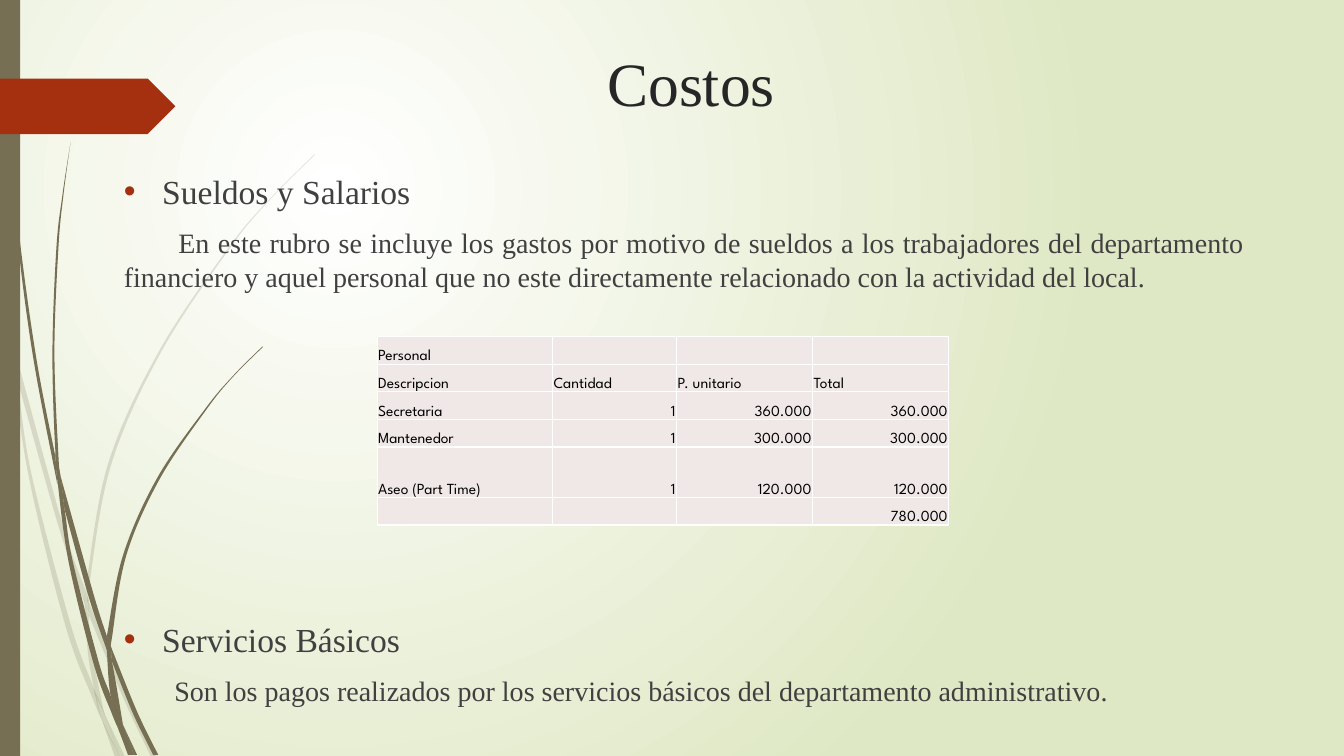
from lxml import etree
from pptx import Presentation
from pptx.dml.color import RGBColor
from pptx.enum.shapes import MSO_SHAPE
from pptx.enum.text import MSO_ANCHOR, PP_ALIGN
from pptx.oxml.ns import qn
from pptx.util import Inches, Pt

RECT, ARROW = MSO_SHAPE.RECTANGLE, MSO_SHAPE.PENTAGON
TOP, BOTTOM = MSO_ANCHOR.TOP, MSO_ANCHOR.BOTTOM
LEFT, RIGHT = PP_ALIGN.LEFT, PP_ALIGN.RIGHT
CENTER, JUST = PP_ALIGN.CENTER, PP_ALIGN.JUSTIFY

TITLE = "Costos"
# heading, text, top, height, first-line indent
PARTS = [
    ("Sueldos y Salarios",
     "En este rubro se incluye los gastos por motivo de sueldos a los trabajadores "
     "del departamento financiero y aquel personal que no este directamente "
     "relacionado con la actividad del local.", 1.65, 1.4, 0.54),
    ("Servicios Básicos",
     "Son los pagos realizados por los servicios básicos del departamento "
     "administrativo.", 6.09, 1.1, 0.5),
]
STAFF = [
    ("Personal", "", "", ""),
    ("Descripcion", "Cantidad", "P. unitario", "Total"),
    ("Secretaria", "1", "360.000", "360.000"),
    ("Mantenedor", "1", "300.000", "300.000"),
    ("Aseo (Part Time)", "1", "120.000", "120.000"),
    ("", "", "", "780.000"),
]
COLS = [1.74, 1.23, 1.35, 1.35]
HIGH, TALL = 1.87, 0.5
ROW = (HIGH - TALL) / 5
ROWS = [ROW] * 4 + [TALL, ROW]

# Each piece of grass: the points down one edge, then down the other
FAINT = [
    ([(0, 2.82), (.09, 3.22), (.11, 3.5)], [(0, 2.99), (.1, 3.44), (.11, 3.5)]),
    ([(.14, 3.45), (.62, 5.2), (.85, 5.86)], [(.17, 3.76), (.58, 5.22), (.84, 5.99)]),
    ([(.88, 5.96), (.92, 6.07), (1.27, 6.92), (1.55, 7.51)],
     [(.88, 6.1), (1.23, 6.94), (1.5, 7.51)]),
    ([(1.05, 7.11), (1.24, 7.51)], [(1.05, 7.11), (1.19, 7.51)]),
    ([(.11, 3.5), (.17, 3.76), (.31, 4.69), (.7, 6.19), (.93, 6.83), (.99, 7.07)],
     [(.11, 3.5), (.28, 4.7), (.65, 6.21), (.92, 6.93), (1.01, 7.14)]),
    ([(.84, 5.99), (.87, 6.46), (.93, 6.83), (.96, 6.92), (1.05, 7.11)],
     [(.88, 6.1), (.91, 6.46), (1.03, 7.06)]),
    ([(3.12, 1.53), (2.68, 1.97), (2.28, 2.44), (1.58, 3.48), (1.07, 4.61), (.85, 5.84)],
     [(3.12, 1.54), (2.68, 1.98), (2.29, 2.45), (1.6, 3.49), (1.1, 4.62), (.88, 5.84),
      (.88, 5.96)]),
    ([(1.01, 7.14), (1.19, 7.51)], [(1.01, 7.14), (1.14, 7.51)]),
    ([(.85, 5.86), (.88, 5.96), (.88, 6.1)], [(.85, 5.86), (.84, 5.99), (.88, 6.08)]),
    ([(.93, 6.83), (1.05, 7.11), (1.19, 7.51)], [(.93, 6.83), (1.01, 7.14), (1.19, 7.51)]),
]
SOLID = [
    ([(.04, 0), (.05, .48), (.08, 1.09), (.19, 2.32), (.36, 3.55), (.55, 4.53)],
     [(.03, 0), (.04, .48), (.07, 1.1), (.17, 2.33), (.33, 3.55), (.57, 4.81)]),
    ([(.6, 4.72), (.93, 5.9), (1.06, 6.31)], [(.64, 5.05), (.88, 5.92), (1.06, 6.45)]),
    ([(1.1, 6.41), (1.13, 6.49), (1.36, 7.06), (1.57, 7.49)],
     [(1.11, 6.56), (1.32, 7.08), (1.52, 7.49)]),
    ([(.57, 4.77), (.64, 5.05), (.72, 5.56), (.98, 6.57), (1.1, 6.91), (1.16, 7.17)],
     [(.57, 4.77), (.68, 5.57), (.93, 6.59), (1.11, 7.08), (1.17, 7.22)]),
    ([(.7, 1.41), (.63, 1.93), (.58, 2.45), (.54, 3.49), (.58, 4.53), (.6, 4.72)],
     [(.7, 1.41), (.62, 1.93), (.56, 2.45), (.52, 3.49), (.55, 4.49), (.6, 4.72)]),
    ([(1.22, 7.19), (1.36, 7.49)], [(1.22, 7.19), (1.33, 7.49)]),
    ([(.55, 4.49), (.6, 4.72), (.64, 5.05)], [(.55, 4.53), (.57, 4.77), (.64, 5.05)]),
    ([(2.6, 3.44), (2.31, 3.73), (2.04, 4.05), (1.56, 4.74), (1.22, 5.51), (1.06, 6.31)],
     [(2.61, 3.44), (2.31, 3.74), (2.05, 4.06), (1.58, 4.76), (1.25, 5.52), (1.11, 6.33),
      (1.1, 6.41)]),
    ([(1.17, 7.22), (1.31, 7.49)], [(1.17, 7.22), (1.27, 7.49)]),
    ([(1.06, 6.45), (1.11, 6.56), (1.22, 7.19)], [(1.06, 6.45), (1.1, 6.91), (1.22, 7.19)]),
    ([(1.06, 6.31), (1.1, 6.41), (1.11, 6.56)], [(1.06, 6.31), (1.06, 6.45), (1.11, 6.56)]),
    ([(1.1, 6.91), (1.22, 7.19), (1.33, 7.49)], [(1.1, 6.91), (1.17, 7.22), (1.3, 7.49)]),
]


class Theme:
    serif, sans = "Times New Roman", "League Spartan"
    white, green = "FFFFFF", "DFE8C4"
    olive, rust = "766F54", "A53010"
    dark, text, black, cell = "262626", "404040", "000000", "F0E8E7"
    title, head, body, small = 44, 24, 20, 11


def rgb(code):
    return RGBColor.from_string(code)


def sub(node, tag, **attrs):
    return etree.SubElement(node, qn(tag), attrs)


def style(par, size, face, color):
    for run in par.runs:
        run.font.size, run.font.name = Pt(size), face
        run.font.color.rgb = rgb(color)


def paint(shape, color, alpha=100):
    shape.shadow.inherit = False
    shape.fill.solid()
    shape.fill.fore_color.rgb = rgb(color)
    shape.line.fill.background()
    if alpha < 100:
        tint = shape._element.spPr.find(".//" + qn("a:srgbClr"))
        sub(tint, "a:alpha", val=str(alpha * 1000))


def bend(lines, pts):
    """Turn the line steps through pts into smooth Bezier steps."""
    ends = [pts[0], *pts, pts[-1]]
    for line, a, b, c, d in zip(lines, ends, ends[1:], ends[2:], ends[3:]):
        line.tag = qn("a:cubicBezTo")
        pull = [q + (r - p) / 6 for p, q, r in zip(a, b, c)]
        push = [q - (r - p) / 6 for p, q, r in zip(b, c, d)]
        for spot, (x, y) in enumerate((pull, push)):
            node = etree.Element(qn("a:pt"), x=str(round(x)), y=str(round(y)))
            line.insert(spot, node)


def blade(slide, edges, alpha):
    first, second = edges
    pts = [(round(x * 1000), round(y * 1000)) for x, y in first + second[::-1]]
    pen = slide.shapes.build_freeform(*pts[0], scale=Inches(1) / 1000)
    pen.add_line_segments(pts[1:], close=True)
    shape = pen.convert_to_shape()
    paint(shape, Theme.olive, alpha)
    tree = shape._element.spPr
    spots = [(int(p.get("x")), int(p.get("y"))) for p in tree.iter(qn("a:pt"))]
    lines = list(tree.iter(qn("a:lnTo")))
    turn = len(first)
    bend(lines[:turn - 1], spots[:turn])
    bend(lines[turn:len(pts) - 1], spots[turn:len(pts)])


def backdrop(slide):
    fill = slide.background.fill
    fill.gradient()
    for stop, color in zip(fill.gradient_stops, (Theme.white, Theme.green)):
        stop.color.rgb = rgb(color)
    grad = slide._element.find(".//" + qn("a:gradFill"))
    grad.remove(grad.find(qn("a:lin")))
    way = sub(grad, "a:path", path="circle")
    sub(way, "a:fillToRect", l="50000", t="50000", r="100000", b="100000")
    for alpha, blades in ((20, FAINT), (100, SOLID)):
        for edges in blades:
            blade(slide, edges, alpha)
    for kind, top, wide, high in ((RECT, 0, 0.2, 7.5), (ARROW, 0.78, 1.74, 0.55)):
        shape = slide.shapes.add_shape(kind, 0, Inches(top), Inches(wide), Inches(high))
        paint(shape, Theme.rust if kind == ARROW else Theme.olive)


def heading(slide):
    box = slide.shapes.title
    box.left, box.top, box.width, box.height = map(Inches, (1.13, 0.4, 11.45, 1.09))
    frame = box.text_frame
    frame.text, frame.vertical_anchor = TITLE, TOP
    frame.margin_top = Inches(0.05)
    par = frame.paragraphs[0]
    par.alignment = CENTER
    style(par, Theme.title, Theme.serif, Theme.dark)


def section(slide, head, text, top, high, indent):
    box = slide.shapes.add_textbox(*map(Inches, (1.13, top, 11.31, high)))
    frame = box.text_frame
    frame.word_wrap = True
    frame.text = head
    par = frame.paragraphs[0]
    props = par._p.get_or_add_pPr()
    props.set("marL", str(Inches(0.38)))
    props.set("indent", str(Inches(-0.38)))
    sub(sub(props, "a:buClr"), "a:srgbClr", val=Theme.rust)
    sub(props, "a:buFont", typeface="Arial")
    sub(props, "a:buChar", char="•")
    style(par, Theme.head, Theme.serif, Theme.text)
    par = frame.add_paragraph()
    par.text, par.alignment, par.space_before = text, JUST, Pt(10)
    par._p.get_or_add_pPr().set("indent", str(Inches(indent)))
    style(par, Theme.body, Theme.serif, Theme.text)


def fill_cell(cell, text):
    cell.text, cell.vertical_anchor = text, BOTTOM
    cell.margin_left = cell.margin_right = cell.margin_top = Inches(0.01)
    cell.margin_bottom = 0
    par = cell.text_frame.paragraphs[0]
    par.alignment = RIGHT if text[:1].isdigit() else LEFT
    style(par, Theme.small, Theme.sans, Theme.black)
    if not text:
        sub(par._p, "a:endParaRPr", sz=str(Theme.small * 100))
    props = cell._tc.get_or_add_tcPr()
    for side in "LRTB":
        line = sub(props, "a:ln" + side, w=str(Pt(1)))
        sub(sub(line, "a:solidFill"), "a:srgbClr", val=Theme.white)
    cell.fill.solid()
    cell.fill.fore_color.rgb = rgb(Theme.cell)


def staff(slide):
    spot = map(Inches, (3.74, 3.34, sum(COLS), HIGH))
    table = slide.shapes.add_table(len(ROWS), len(COLS), *spot).table
    for col, wide in zip(table.columns, COLS):
        col.width = Inches(wide)
    for row, high, texts in zip(table.rows, ROWS, STAFF):
        row.height = Inches(high)
        for cell, text in zip(row.cells, texts):
            fill_cell(cell, text)


deck = Presentation()
deck.slide_width, deck.slide_height = Inches(13.33), Inches(7.5)
page = deck.slides.add_slide(deck.slide_layouts[5])
backdrop(page)
heading(page)
for part in PARTS:
    section(page, *part)
staff(page)
deck.save("out.pptx")
